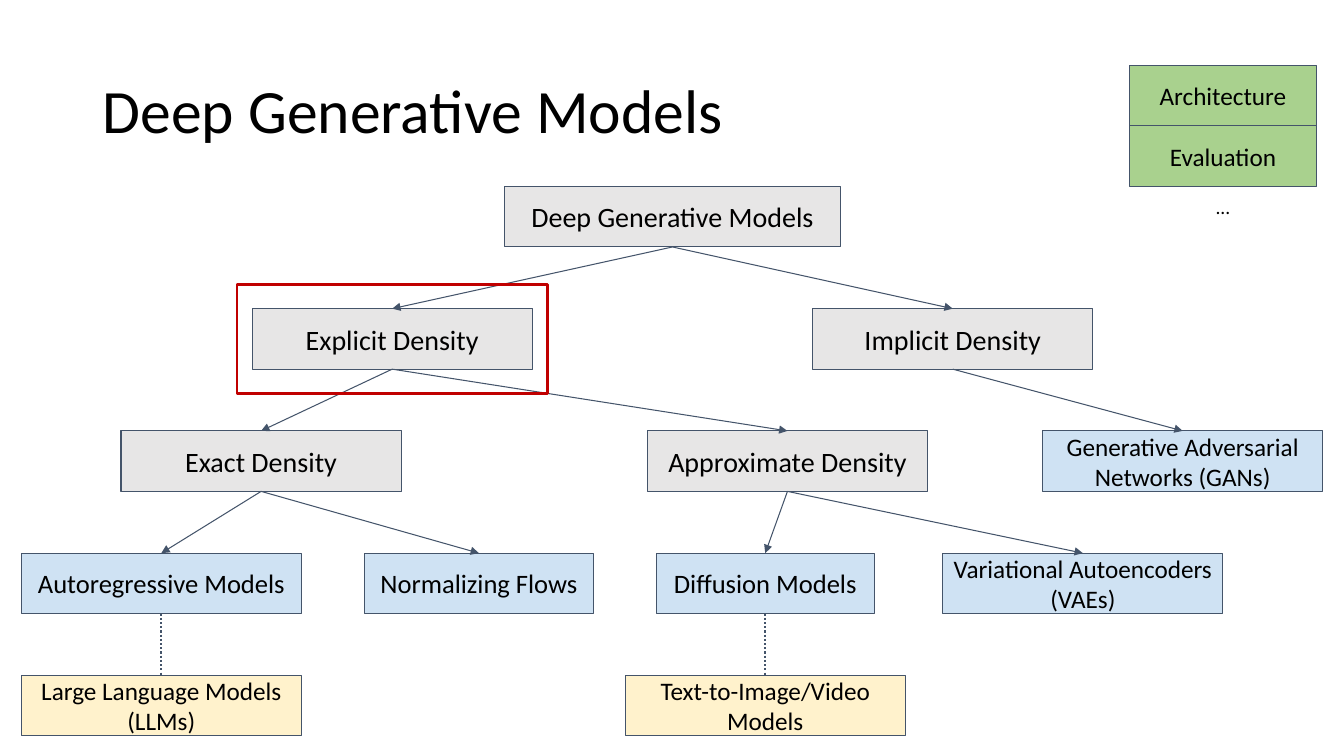
from dataclasses import dataclass

from lxml import etree
from pptx import Presentation
from pptx.dml.color import RGBColor
from pptx.enum.dml import MSO_LINE
from pptx.enum.shapes import MSO_CONNECTOR, MSO_SHAPE
from pptx.enum.text import MSO_ANCHOR, MSO_AUTO_SIZE, PP_ALIGN
from pptx.oxml.ns import qn
from pptx.util import Inches, Pt

RECTANGLE = MSO_SHAPE.RECTANGLE
STRAIGHT = MSO_CONNECTOR.STRAIGHT
DOTTED = MSO_LINE.ROUND_DOT
MIDDLE = MSO_ANCHOR.MIDDLE
CENTER = PP_ALIGN.CENTER
LEFT = PP_ALIGN.LEFT
BOTTOM_SITE, TOP_SITE = 2, 0
TITLE_ONLY = 5


@dataclass(frozen=True)
class Theme:
    font: str = "Calibri"
    ink: str = "000000"
    edge: str = "44546A"
    family: str = "E7E6E6"
    method: str = "CFE2F3"
    application: str = "FFF2CC"
    topic: str = "A9D18E"
    highlight: str = "C00000"
    title_size: float = 44
    family_size: float = 20
    method_size: float = 19
    small_size: float = 18
    dots_size: float = 14
    thin: float = 0.75
    dotted: float = 1.5
    thick: float = 2


THEME = Theme()
PAGE_WIDTH, PAGE_HEIGHT = 13.33, 7.5
NODE_WIDTH, NODE_HEIGHT = 2.78, 0.6
FIRST_ROW, LAST_ROW, ROW_COUNT = 1.85, 6.7, 5
ROW_STEP = (LAST_ROW - FIRST_ROW) / (ROW_COUNT - 1)
INSET = 0.1
TOPIC_LEFT, TOPIC_TOP, TOPIC_WIDTH = 11.2, 0.65, 1.86
FRAME_MARGIN_X, FRAME_MARGIN_Y = 0.15, 0.24

FAMILY = (THEME.family, THEME.family_size)
METHOD = (THEME.method, THEME.method_size)
LONG_METHOD = (THEME.method, THEME.small_size)
APPLICATION = (THEME.application, THEME.small_size)
TOPIC = (THEME.topic, THEME.small_size)

NODES = {
    "root": ("Deep Generative Models", 0, 6.67, 3.34, FAMILY),
    "explicit": ("Explicit Density", 1, 3.89, NODE_WIDTH, FAMILY),
    "implicit": ("Implicit Density", 1, 9.45, NODE_WIDTH, FAMILY),
    "exact": ("Exact Density", 2, 2.59, NODE_WIDTH, FAMILY),
    "approximate": ("Approximate Density", 2, 7.81, NODE_WIDTH, FAMILY),
    "gan": ("Generative Adversarial Networks (GANs)", 2, 11.73, NODE_WIDTH, LONG_METHOD),
    "autoregressive": ("Autoregressive Models", 3, 1.6, NODE_WIDTH, METHOD),
    "flows": ("Normalizing Flows", 3, 4.75, 2.27, METHOD),
    "diffusion": ("Diffusion Models", 3, 7.59, 2.16, METHOD),
    "vae": ("Variational Autoencoders (VAEs)", 3, 10.74, NODE_WIDTH, LONG_METHOD),
    "llm": ("Large Language Models (LLMs)", 4, 1.6, NODE_WIDTH, APPLICATION),
    "media": ("Text-to-Image/Video Models", 4, 7.59, NODE_WIDTH, APPLICATION),
}
BRANCHES = {
    "root": ("explicit", "implicit"),
    "explicit": ("exact", "approximate"),
    "implicit": ("gan",),
    "exact": ("autoregressive", "flows"),
    "approximate": ("diffusion", "vae"),
}
APPLICATIONS = {"autoregressive": "llm", "diffusion": "media"}


def color(value):
    return RGBColor.from_string(value)


def write(frame, text, size, align=CENTER):
    frame.text = text
    frame.word_wrap = True
    para = frame.paragraphs[0]
    para.alignment = align
    for span in para.runs:
        span.font.name = THEME.font
        span.font.size = Pt(size)
        span.font.color.rgb = color(THEME.ink)
    return para


def add_rectangle(page, left, top, width, height, line_color, line_width):
    box = page.shapes.add_shape(
        RECTANGLE, Inches(left), Inches(top), Inches(width), Inches(height))
    box.shadow.inherit = False
    box.line.color.rgb = color(line_color)
    box.line.width = Pt(line_width)
    return box


def add_node(page, text, left, top, width, style):
    fill, size = style
    box = add_rectangle(page, left, top, width, NODE_HEIGHT, THEME.edge, THEME.thin)
    box.fill.solid()
    box.fill.fore_color.rgb = color(fill)
    frame = box.text_frame
    frame.margin_left = frame.margin_right = Inches(INSET)
    frame.margin_top = frame.margin_bottom = Inches(INSET)
    frame.vertical_anchor = MIDDLE
    write(frame, text, size)
    return box


def add_link(page, parent, child, width):
    link = page.shapes.add_connector(STRAIGHT, 0, 0, 0, 0)
    link.begin_connect(parent, BOTTOM_SITE)
    link.end_connect(child, TOP_SITE)
    link.line.color.rgb = color(THEME.edge)
    link.line.width = Pt(width)
    etree.SubElement(link._element.spPr, qn("a:effectLst"))
    return link


def add_arrow(page, parent, child):
    arrow = add_link(page, parent, child, THEME.thin)
    etree.SubElement(arrow.line._get_or_add_ln(), qn("a:tailEnd"), type="triangle")


def add_dotted_link(page, parent, child):
    add_link(page, parent, child, THEME.dotted).line.dash_style = DOTTED


def set_title(page, text):
    title = page.shapes.title
    title.left, title.top = Inches(0.92), Inches(0.4)
    title.width, title.height = Inches(11.5), Inches(1.45)
    frame = title.text_frame
    frame.vertical_anchor = MIDDLE
    frame.auto_size = MSO_AUTO_SIZE.NONE
    write(frame, text, THEME.title_size, LEFT).line_spacing = 0.9


def add_topics(page):
    for index, topic in enumerate(("Architecture", "Evaluation")):
        top = TOPIC_TOP + index * NODE_HEIGHT
        add_node(page, topic, TOPIC_LEFT, top, TOPIC_WIDTH, TOPIC)
    dots = page.shapes.add_textbox(
        Inches(11.8), Inches(1.88), Inches(0.66), Inches(0.34))
    write(dots.text_frame, "...", THEME.dots_size)


def add_tree(page):
    boxes = {}
    for name, (text, row, center, width, style) in NODES.items():
        top = FIRST_ROW + row * ROW_STEP
        boxes[name] = add_node(page, text, center - width / 2, top, width, style)
    for parent, children in BRANCHES.items():
        for child in children:
            add_arrow(page, boxes[parent], boxes[child])
    for method, application in APPLICATIONS.items():
        add_dotted_link(page, boxes[method], boxes[application])
    return boxes


def add_highlight(page, box):
    frame = add_rectangle(
        page,
        box.left.inches - FRAME_MARGIN_X,
        box.top.inches - FRAME_MARGIN_Y,
        box.width.inches + 2 * FRAME_MARGIN_X,
        box.height.inches + 2 * FRAME_MARGIN_Y,
        THEME.highlight, THEME.thick)
    frame.fill.background()


def main():
    deck = Presentation()
    deck.slide_width, deck.slide_height = Inches(PAGE_WIDTH), Inches(PAGE_HEIGHT)
    page = deck.slides.add_slide(deck.slide_layouts[TITLE_ONLY])
    set_title(page, "Deep Generative Models")
    boxes = add_tree(page)
    add_topics(page)
    add_highlight(page, boxes["explicit"])
    deck.save("out.pptx")


if __name__ == "__main__":
    main()
